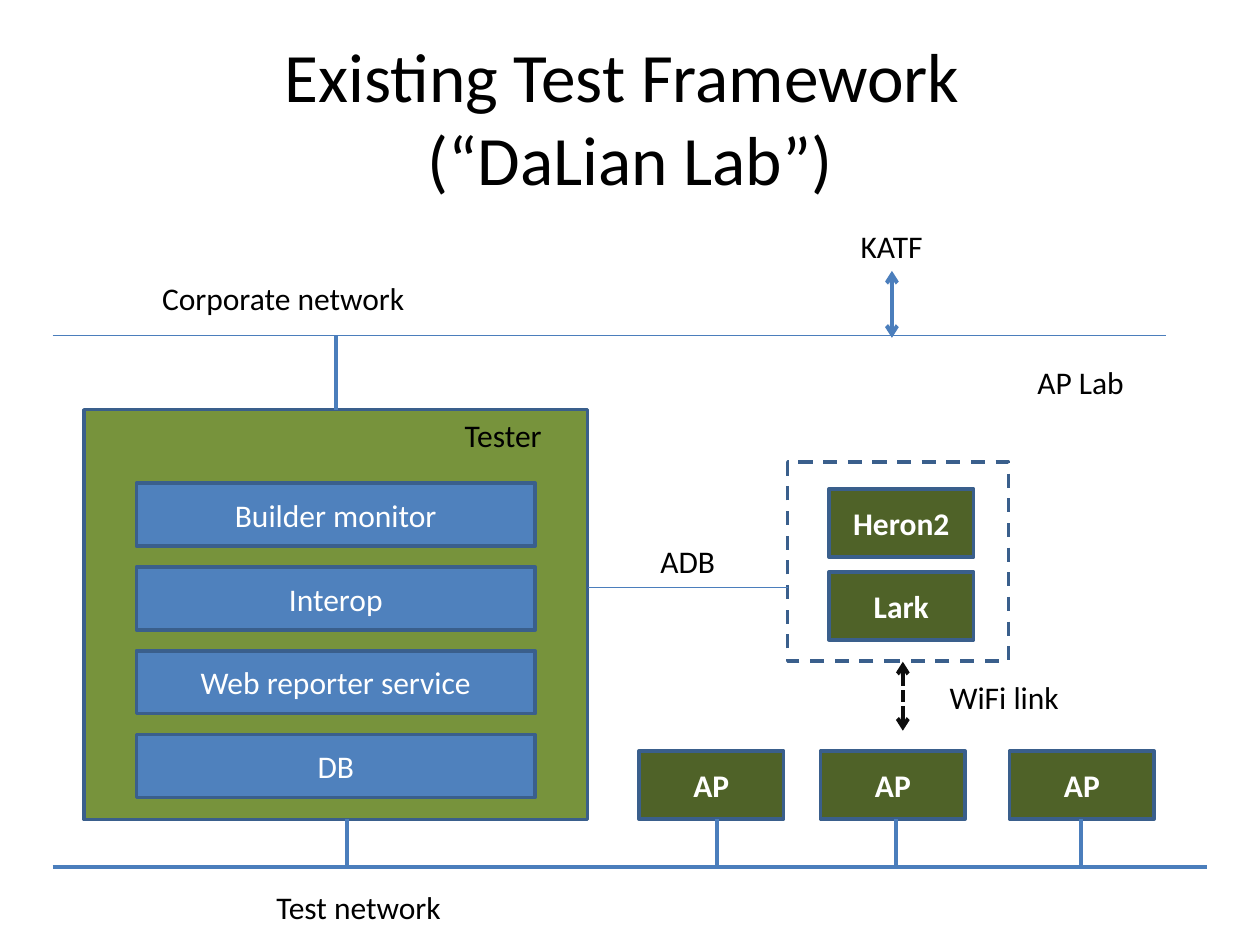
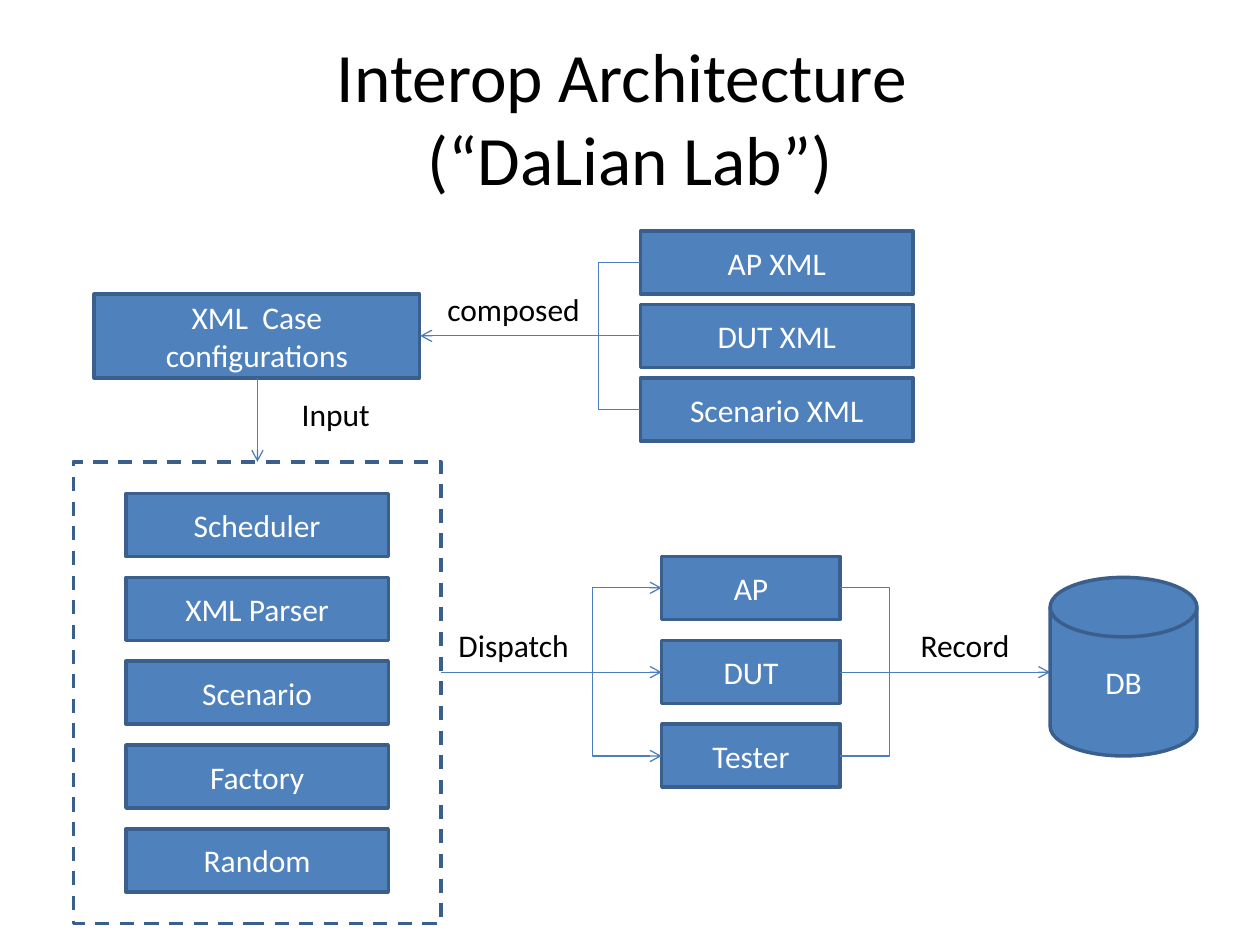
from lxml import etree
from pptx import Presentation
from pptx import util as u
from pptx.dml.color import RGBColor
from pptx.enum import dml, shapes, text
from pptx.oxml.ns import qn

BLUE, GREEN, OLIVE = "4F81BD", "77933C", "4F6228"
EDGE, WIRE, BLACK, WHITE = "3A5F8C", "4B7EBC", "000000", "FFFFFF"
FONT = "Calibri"
THIN, THICK = 0.75, 2.25
BAR_HEIGHT, BAR_STEP = 1.27, 1.69
LABEL_HEIGHT = 1.02
DASH = dml.MSO_LINE.DASH
SHORT_DASH = dml.MSO_LINE.SQUARE_DOT


def colour(value):
    return RGBColor.from_string(value)


def write(frame, words, size=18, ink=BLACK, bold=False, anchor=text.MSO_ANCHOR.TOP):
    """Put one centred paragraph into a text frame."""
    frame.word_wrap = True
    frame.vertical_anchor = anchor
    para = frame.paragraphs[0]
    para.text = words
    para.alignment = text.PP_ALIGN.CENTER
    for span in para.runs:
        span.font.name = FONT
        span.font.size = u.Pt(size)
        span.font.bold = bold
        span.font.color.rgb = colour(ink)


def outline(shape, ink, width, dash=None):
    shape.line.color.rgb = colour(ink)
    shape.line.width = u.Pt(width)
    if dash:
        shape.line.dash_style = dash


def add_arrowheads(shape, ends):
    """Add open arrowheads; ends names 'head' (start) and/or 'tail' (end)."""
    pen = shape.element.spPr.find(qn("a:ln"))
    for end in ends:
        etree.SubElement(pen, qn(f"a:{end}End"), type="arrow")


class Diagram:
    """Holds the deck, the current page and the shared style; lengths in cm."""

    def __init__(self):
        self.deck = Presentation()
        self.deck.slide_width, self.deck.slide_height = u.Cm(25.4), u.Cm(19.05)
        self.page = None

    def start(self, title):
        self.page = self.deck.slides.add_slide(self.deck.slide_layouts[6])
        box = self.page.shapes.add_textbox(u.Cm(1.27), u.Cm(0.76), u.Cm(22.86), u.Cm(3.18))
        write(box.text_frame, title, size=39.6, anchor=text.MSO_ANCHOR.MIDDLE)

    def label(self, words, left, top, width=3.35):
        box = self.page.shapes.add_textbox(u.Cm(left), u.Cm(top), u.Cm(width), u.Cm(LABEL_HEIGHT))
        write(box.text_frame, words)
        box.text_frame.auto_size = text.MSO_AUTO_SIZE.SHAPE_TO_FIT_TEXT

    def box(self, words, left, top, width, height, fill=BLUE, dash=None, bold=False,
            kind=shapes.MSO_SHAPE.RECTANGLE):
        box = self.page.shapes.add_shape(kind, u.Cm(left), u.Cm(top), u.Cm(width), u.Cm(height))
        box.shadow.inherit = False
        if fill:
            box.fill.solid()
            box.fill.fore_color.rgb = colour(fill)
        else:
            box.fill.background()
        outline(box, EDGE, 2, dash)
        if words:
            write(box.text_frame, words, ink=WHITE, bold=bold, anchor=text.MSO_ANCHOR.MIDDLE)

    def stack(self, names, left, top, width, step=BAR_STEP):
        for row, name in enumerate(names):
            self.box(name, left, top + row * step, width, BAR_HEIGHT)

    def device(self, name, left, top):
        self.box(name, left, top, 2.92, 1.37, fill=OLIVE, bold=True)

    def line(self, x1, y1, x2, y2, width=THIN, ink=WIRE, dash=None, ends=()):
        wire = self.page.shapes.add_connector(
            shapes.MSO_CONNECTOR.STRAIGHT, u.Cm(x1), u.Cm(y1), u.Cm(x2), u.Cm(y2))
        outline(wire, ink, width, dash)
        add_arrowheads(wire, ends)
        etree.SubElement(wire.element.spPr, qn("a:effectLst"))

    def bracket(self, x, top, bottom, spine, ends=()):
        """Join two points at x by way of an upright at spine."""
        pen = self.page.shapes.build_freeform(u.Cm(x), u.Cm(top))
        corners = [(spine, top), (spine, bottom), (x, bottom)]
        pen.add_line_segments([(u.Cm(a), u.Cm(b)) for a, b in corners], close=False)
        wire = pen.convert_to_shape()
        wire.shadow.inherit = False
        wire.fill.background()
        outline(wire, WIRE, THIN)
        add_arrowheads(wire, ends)


diagram = Diagram()
BOTH = ("head", "tail")
TO_END = ("tail",)

# Slide 1: test framework
diagram.start("Existing Test Framework \v(“DaLian Lab”)")

# Tester and its services
diagram.box(None, 1.69, 8.26, 10.16, 8.26, fill=GREEN)
diagram.label("Tester", 8.47, 8.26)
diagram.stack(["Builder monitor", "Interop", "Web reporter service", "DB"], 2.75, 9.74, 8.04)

# Corporate network
corporate = 6.77
diagram.line(1.06, corporate, 23.5, corporate)
diagram.line(6.77, 8.26, 6.77, corporate, THICK)
diagram.line(17.98, 6.81, 17.98, 5.46, THICK, ends=BOTH)
diagram.label("Corporate network", 2.75, 5.5, 5.92)
diagram.label("KATF", 16.3, 4.45)
diagram.label("AP Lab", 20.11, 7.2)

# Devices under test
diagram.box(None, 15.88, 9.31, 4.45, 4.02, fill=None, dash=DASH)
diagram.device("Heron2", 16.71, 9.86)
diagram.device("Lark", 16.71, 11.53)
diagram.line(11.85, 11.85, 15.88, 11.85)
diagram.label("ADB", 12.7, 10.8, 2.33)
diagram.line(18.2, 13.34, 18.2, 14.73, THICK, "0D0D0D", SHORT_DASH, BOTH)
diagram.label("WiFi link", 18.63, 13.55, 3.23)

# Access points and test network
test_network = 17.48
diagram.line(1.06, test_network, 24.34, test_network, THICK)
for left in (12.88, 16.54, 20.35):
    diagram.device("AP", left, 15.14)
for x in (6.99, 14.45, 18.06, 21.79):
    diagram.line(x, 16.51, x, test_network, THICK)
diagram.label("Test network", 4.27, 17.78, 5.92)

# Slide 2: interop architecture
diagram.start("Interop Architecture \v(“DaLian Lab”)")

# Case configurations composed from XML files
diagram.box("XML  Case configurations", 1.9, 5.93, 6.56, 1.69)
diagram.stack(["AP XML", "DUT XML", "Scenario XML"], 12.91, 4.66, 5.5, step=1.48)
diagram.bracket(12.91, 5.29, 8.26, 12.06)
diagram.line(12.91, 6.77, 8.47, 6.77, ends=TO_END)
diagram.label("composed", 8.68, 5.72)

# Engine modules
diagram.box(None, 1.48, 9.31, 7.41, 9.31, fill=None, dash=DASH)
diagram.stack(["Scheduler", "XML Parser", "Scenario", "Factory", "Random"], 2.54, 9.95, 5.29)
diagram.line(5.19, 7.62, 5.19, 9.31, ends=TO_END)
diagram.label("Input", 5.29, 7.83, 2.96)

# Dispatch to targets, then record
middle = 13.55
diagram.stack(["AP", "DUT", "Tester"], 13.34, 11.22, 3.6)
diagram.bracket(13.34, 11.85, 15.24, 11.94, BOTH)
diagram.line(8.89, middle, 13.34, middle, ends=TO_END)
diagram.label("Dispatch", 8.68, 12.5)
diagram.bracket(16.93, 11.85, 15.24, 17.93)
diagram.line(16.93, middle, 21.17, middle, ends=TO_END)
diagram.label("Record", 17.78, 12.5)
diagram.box("DB", 21.17, 11.64, 2.96, 3.6, kind=shapes.MSO_SHAPE.FLOWCHART_MAGNETIC_DISK)

diagram.deck.save("out.pptx")
